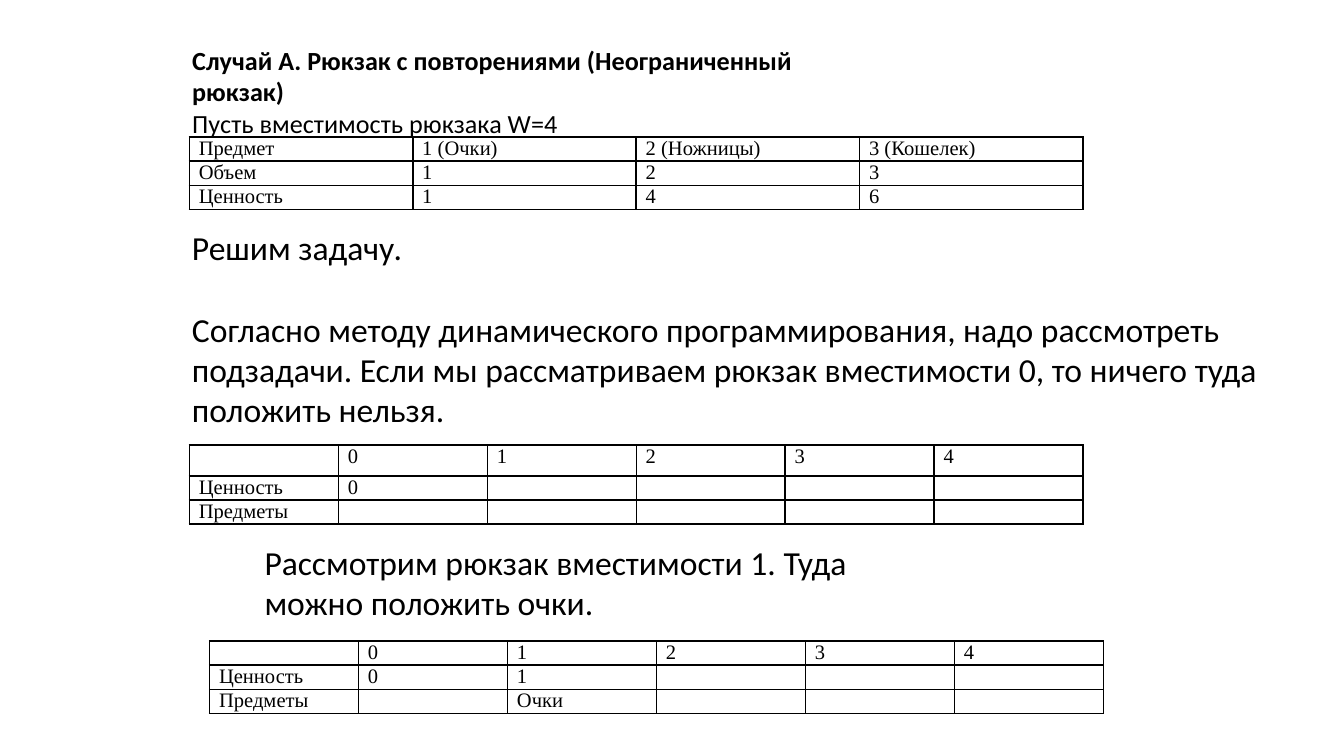
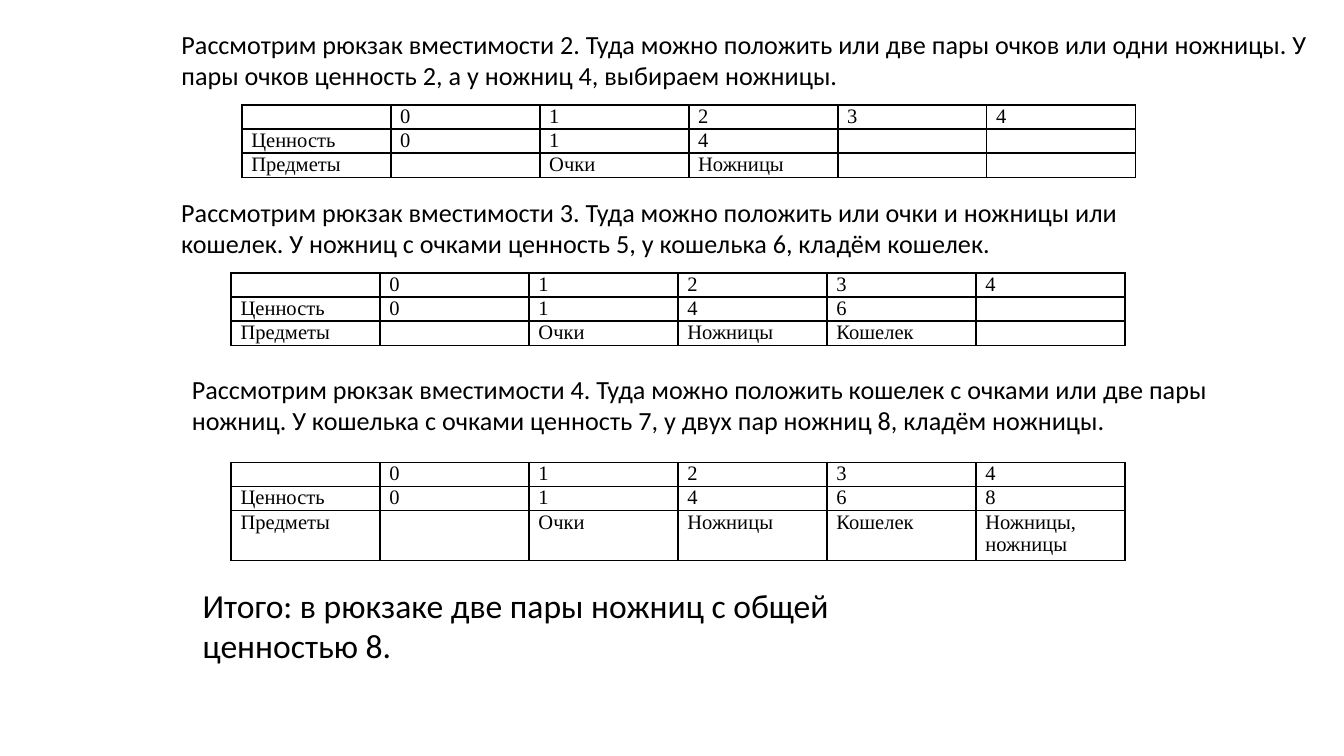
from dataclasses import dataclass

from lxml import etree
from pptx import Presentation
from pptx import util as u
from pptx.dml.color import RGBColor
from pptx.enum import text
from pptx.oxml import ns


@dataclass(frozen=True)
class Theme:
    ink: str = "000000"
    body_font: str = "Calibri"
    table_font: str = "Times New Roman"
    large: int = 18
    normal: int = 14
    cell: int = 11
    border: int = 1
    table_width: float = 6.65
    row: float = 0.18
    cell_inset: float = 0.07


T = Theme()

# Best value and chosen items for each capacity from 0 to 4
VALUES = ["0", "1", "4", "6", "8"]
CHOICES = ["", "Очки", "Ножницы", "Кошелек", "Ножницы, ножницы"]


def style_paragraph(p, size, font=T.body_font, bold=False):
    p.alignment = text.PP_ALIGN.LEFT
    for r in p.runs:
        r.font.name = font
        r.font.size = u.Pt(size)
        r.font.bold = bold
        r.font.color.rgb = RGBColor.from_string(T.ink)


def fill_text(sp, paragraphs, size, gap=0):
    tf = sp.text_frame
    tf.word_wrap = True
    tf.auto_size = text.MSO_AUTO_SIZE.NONE
    tf.vertical_anchor = text.MSO_ANCHOR.TOP
    tf.text = "\n".join(paragraphs)
    for i, p in enumerate(tf.paragraphs):
        p.space_before = u.Pt(gap if i else 0)
        style_paragraph(p, size)


def add_text(s, left, top, width, height, paragraphs, size=T.normal, gap=0):
    sp = s.shapes.add_textbox(*map(u.Inches, (left, top, width, height)))
    fill_text(sp, paragraphs, size, gap)


def set_title(s, left, top, width, height, paragraphs):
    sp = s.shapes.title
    sp.left, sp.top, sp.width, sp.height = map(
        u.Inches, (left, top, width, height))
    fill_text(sp, paragraphs, T.normal)
    return sp


def add_borders(cell):
    tc_pr = cell._tc.get_or_add_tcPr()
    for i, side in enumerate(("lnL", "lnR", "lnT", "lnB")):
        ln = etree.Element(ns.qn("a:" + side), w=str(u.Pt(T.border)))
        fill = etree.SubElement(ln, ns.qn("a:solidFill"))
        etree.SubElement(fill, ns.qn("a:srgbClr"), val=T.ink)
        tc_pr.insert(i, ln)


def fill_cell(cell, value):
    cell.margin_left = cell.margin_right = u.Inches(T.cell_inset)
    cell.margin_top = cell.margin_bottom = 0
    cell.fill.background()
    add_borders(cell)
    p = cell.text_frame.paragraphs[0]
    if value:
        p.text = value
        style_paragraph(p, T.cell, T.table_font)
    else:
        # An empty cell keeps the small type size, so its row stays low
        end = etree.SubElement(p._p, ns.qn("a:endParaRPr"),
                               sz=str(T.cell * 100))
        etree.SubElement(end, ns.qn("a:latin"), typeface=T.table_font)


def add_grid(s, left, top, rows, heights):
    n_cols = len(rows[0])
    frame = s.shapes.add_table(
        len(rows), n_cols, u.Inches(left), u.Inches(top),
        u.Inches(T.table_width), u.Inches(sum(heights)))
    table = frame.table
    table.first_row = table.horz_banding = False
    for col in table.columns:
        col.width = u.Inches(T.table_width / n_cols)
    for i, (values, height) in enumerate(zip(rows, heights)):
        table.rows[i].height = u.Inches(height)
        for j, value in enumerate(values):
            fill_cell(table.cell(i, j), value)


def add_step_grid(s, left, top, capacity, heights=(T.row,) * 3):
    """Table of subproblems solved up to the given capacity."""
    def known(values):
        return [v if i <= capacity else "" for i, v in enumerate(values)]

    rows = [["", *map(str, range(len(VALUES)))],
            ["Ценность", *known(VALUES)],
            ["Предметы", *known(CHOICES)]]
    add_grid(s, left, top, rows, heights)


def build_task(s):
    # Task and its items
    title = set_title(s, 1.33, 0.16, 5.22, 0.81, [
        "Случай А. Рюкзак с повторениями (Неограниченный рюкзак)",
        "Пусть вместимость рюкзака W=4"])
    title.text_frame.margin_top = u.Inches(0.17)
    title.text_frame.paragraphs[0].runs[0].font.bold = True
    add_grid(s, 1.41, 1.02, [
        ["Предмет", "1 (Очки)", "2 (Ножницы)", "3 (Кошелек)"],
        ["Объем", "1", "2", "3"],
        ["Ценность", "1", "4", "6"]], (T.row,) * 3)

    # Capacities 0 and 1
    add_text(s, 1.33, 1.64, 8.2, 1.62, [
        "Решим задачу.",
        "Согласно методу динамического программирования, надо рассмотреть "
        "подзадачи. Если мы рассматриваем рюкзак вместимости 0, то ничего "
        "туда положить нельзя."], T.large, gap=22)
    add_step_grid(s, 1.41, 3.31, 0, (0.23, 0.18, 0.18))
    add_text(s, 1.87, 3.98, 5, 0.71, [
        "Рассмотрим рюкзак вместимости 1. Туда можно положить очки."], T.large)
    add_step_grid(s, 1.56, 4.77, 1)


def build_solution(s):
    # Capacity 2
    set_title(s, 1.25, 0.16, 8.75, 0.57, [
        "Рассмотрим рюкзак вместимости 2. Туда можно положить или две пары "
        "очков или одни ножницы. У пары очков ценность 2, а у ножниц 4, "
        "выбираем ножницы."])
    add_step_grid(s, 1.8, 0.78, 2)

    # Capacity 3
    add_text(s, 1.25, 1.41, 7.42, 0.57, [
        "Рассмотрим рюкзак вместимости 3. Туда можно положить или очки и "
        "ножницы или кошелек. У ножниц с очками ценность 5, у кошелька 6, "
        "кладём кошелек."])
    add_step_grid(s, 1.72, 2.03, 3)

    # Capacity 4 and the answer
    add_text(s, 1.33, 2.73, 8.13, 0.57, [
        "Рассмотрим рюкзак вместимости 4. Туда можно положить кошелек с "
        "очками или две пары ножниц. У кошелька с очками ценность 7, у двух "
        "пар ножниц 8, кладём ножницы."])
    add_step_grid(s, 1.72, 3.44, 4, (T.row, T.row, 0.37))
    add_text(s, 1.41, 4.3, 5, 0.71, [
        "Итого: в рюкзаке две пары ножниц с общей ценностью 8."], T.large)


def main():
    prs = Presentation()
    prs.slide_width = u.Inches(10)
    prs.slide_height = prs.slide_width * 9 // 16
    title_only = prs.slide_layouts[5]
    for build in (build_task, build_solution):
        build(prs.slides.add_slide(title_only))
    prs.save("out.pptx")


if __name__ == "__main__":
    main()
